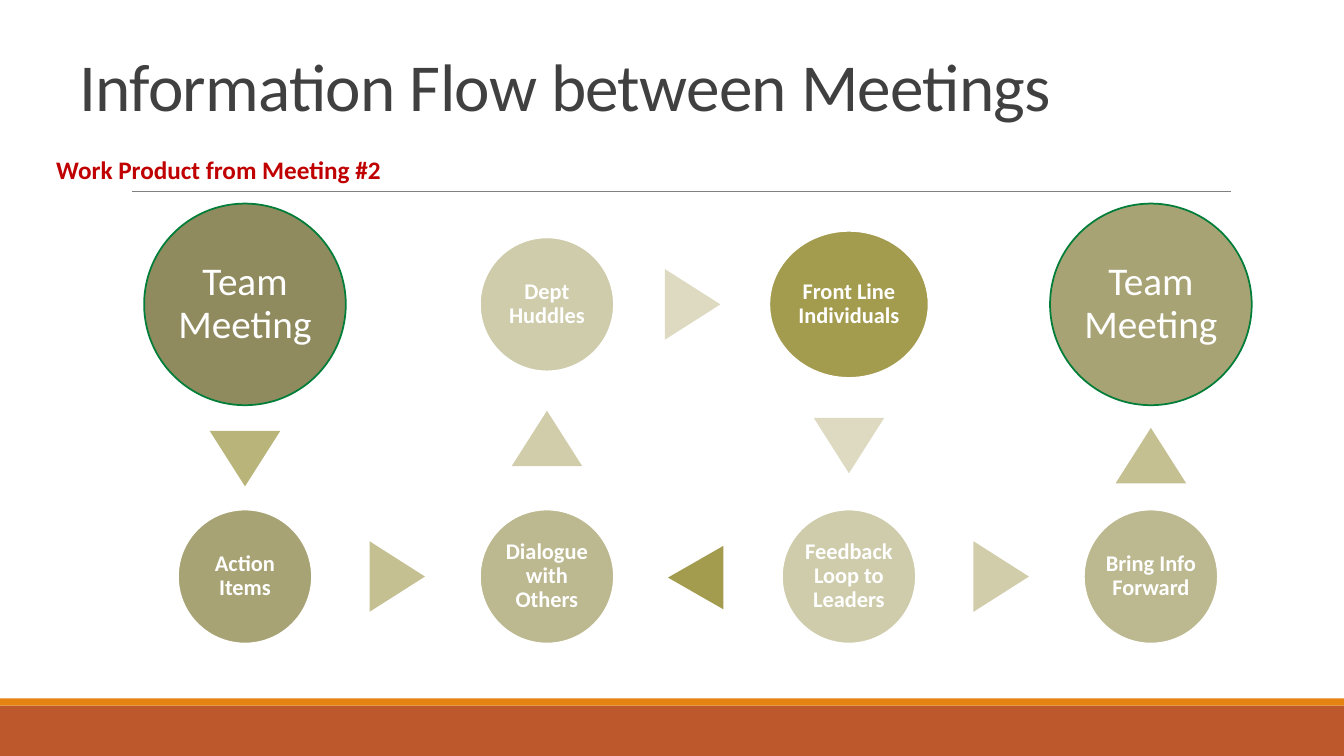
import pptx
import pptx.util
import pptx.dml.color
import pptx.enum.shapes
import pptx.enum.text
from lxml import etree
from pptx.oxml.ns import qn

Inches, Pt = pptx.util.Inches, pptx.util.Pt
SHAPE = pptx.enum.shapes.MSO_SHAPE
ALIGN = pptx.enum.text.PP_ALIGN
ANCHOR = pptx.enum.text.MSO_ANCHOR

COLORS = {
    "white": "FFFFFF", "title": "404040", "red": "C00000", "rule": "808080",
    "rust": "BD582C", "orange": "E48312", "green": "007E39",
    "umber": "908B5F", "moss": "A8A375", "sage": "BCB890", "sand": "CFCCAC",
    "olive": "A39B4E", "khaki": "B9B47A", "straw": "C5C092",
    "oat": "D1CDAA", "cream": "DDDAC1",
}
COLUMNS = [2.43 + 2.995 * i for i in range(4)]
TOP, BOTTOM = 3.02, 5.72

# column, row, width, height, fill, text
STEPS = [
    (0, BOTTOM, 1.33, 1.33, "moss", "Action Items"),
    (1, BOTTOM, 1.33, 1.33, "sage", "Dialogue with Others"),
    (1, TOP, 1.33, 1.33, "sand", "Dept Huddles"),
    (2, TOP, 1.58, 1.46, "olive", "Front Line Individuals"),
    (2, BOTTOM, 1.33, 1.33, "sand", "Feedback Loop to Leaders"),
    (3, BOTTOM, 1.33, 1.33, "sage", "Bring Info Forward"),
]
# centre x, centre y, rotation, fill, base width
ARROWS = [
    (COLUMNS[0], 4.55, 180, "khaki", 0.7),
    (3.94, BOTTOM, 90, "straw", 0.7),
    (COLUMNS[1], 4.35, 0, "oat", 0.7),
    (6.87, TOP, 90, "cream", 0.7),
    (COLUMNS[2], 4.42, 180, "cream", 0.7),
    (9.93, BOTTOM, 90, "oat", 0.7),
    (COLUMNS[3], 4.52, 0, "straw", 0.7),
    (6.9, 5.73, 270, "olive", 0.63),
]


def rgb(name):
    return pptx.dml.color.RGBColor.from_string(COLORS[name])


def style(p, text, size, color, bold=False):
    p.text = text
    p.font.name = "Calibri"
    p.font.size = Pt(size)
    p.font.bold = bold
    p.font.color.rgb = rgb(color)


def add_filled(s, kind, x, y, w, h, fill):
    sp = s.shapes.add_shape(kind, Inches(x), Inches(y), Inches(w), Inches(h))
    sp.shadow.inherit = False
    sp.fill.solid()
    sp.fill.fore_color.rgb = rgb(fill)
    sp.line.fill.background()
    return sp


def add_circle(s, cx, cy, w, h, fill, text, outline="white", size=16,
               bold=True, inset=0.02):
    sp = add_filled(s, SHAPE.OVAL, cx - w / 2, cy - h / 2, w, h, fill)
    sp.line.color.rgb = rgb(outline)
    sp.line.width = Pt(1.25)
    tf = sp.text_frame
    tf.word_wrap = True
    tf.vertical_anchor = ANCHOR.MIDDLE
    tf.margin_left = tf.margin_right = Inches(inset)
    tf.margin_top = tf.margin_bottom = Inches(inset)
    p = tf.paragraphs[0]
    style(p, text, size, "white", bold)
    p.alignment = ALIGN.CENTER
    p.line_spacing = 0.9


def add_arrow(s, cx, cy, rotation, fill, w):
    h = 0.55
    sp = add_filled(s, SHAPE.ISOSCELES_TRIANGLE, cx - w / 2, cy - h / 2, w, h, fill)
    sp.rotation = rotation


def add_text(s, x, y, w, h, text, size, color, bold=False, anchor=ANCHOR.TOP):
    tf = s.shapes.add_textbox(Inches(x), Inches(y), Inches(w), Inches(h)).text_frame
    tf.word_wrap = True
    tf.vertical_anchor = anchor
    p = tf.paragraphs[0]
    style(p, text, size, color, bold)
    return p


def add_rule(s, x1, x2, y):
    line = s.shapes.add_connector(pptx.enum.shapes.MSO_CONNECTOR.STRAIGHT,
                                  Inches(x1), Inches(y), Inches(x2), Inches(y))
    line.line.color.rgb = rgb("rule")
    line.line.width = Pt(0.5)
    etree.SubElement(line._element.spPr, qn("a:effectLst"))


def main():
    prs = pptx.Presentation()
    prs.slide_width, prs.slide_height = Inches(13.33), Inches(7.5)
    s = prs.slides.add_slide(prs.slide_layouts[6])

    add_filled(s, SHAPE.RECTANGLE, 0, 7, 13.33, 0.5, "rust")
    add_filled(s, SHAPE.RECTANGLE, 0, 6.93, 13.33, 0.07, "orange")
    add_rule(s, 1.31, 12.21, 1.9)

    title = add_text(s, 0.69, 0.19, 11.5, 1.1, "Information Flow between Meetings",
                     48, "title", anchor=ANCHOR.BOTTOM)
    title.line_spacing = 0.85
    title.runs[0]._r.get_or_add_rPr().set("spc", "-50")

    for column, fill in ((0, "umber"), (3, "moss")):
        add_circle(s, COLUMNS[column], TOP, 2, 2, fill, "Team Meeting",
                   outline="green", size=28, bold=False, inset=0.04)
    for column, cy, w, h, fill, text in STEPS:
        add_circle(s, COLUMNS[column], cy, w, h, fill, text)
    for arrow in ARROWS:
        add_arrow(s, *arrow)

    add_text(s, 0.46, 1.48, 3.9, 0.4, "Work Product from Meeting #2", 18, "red", bold=True)
    prs.save("out.pptx")


if __name__ == "__main__":
    main()
